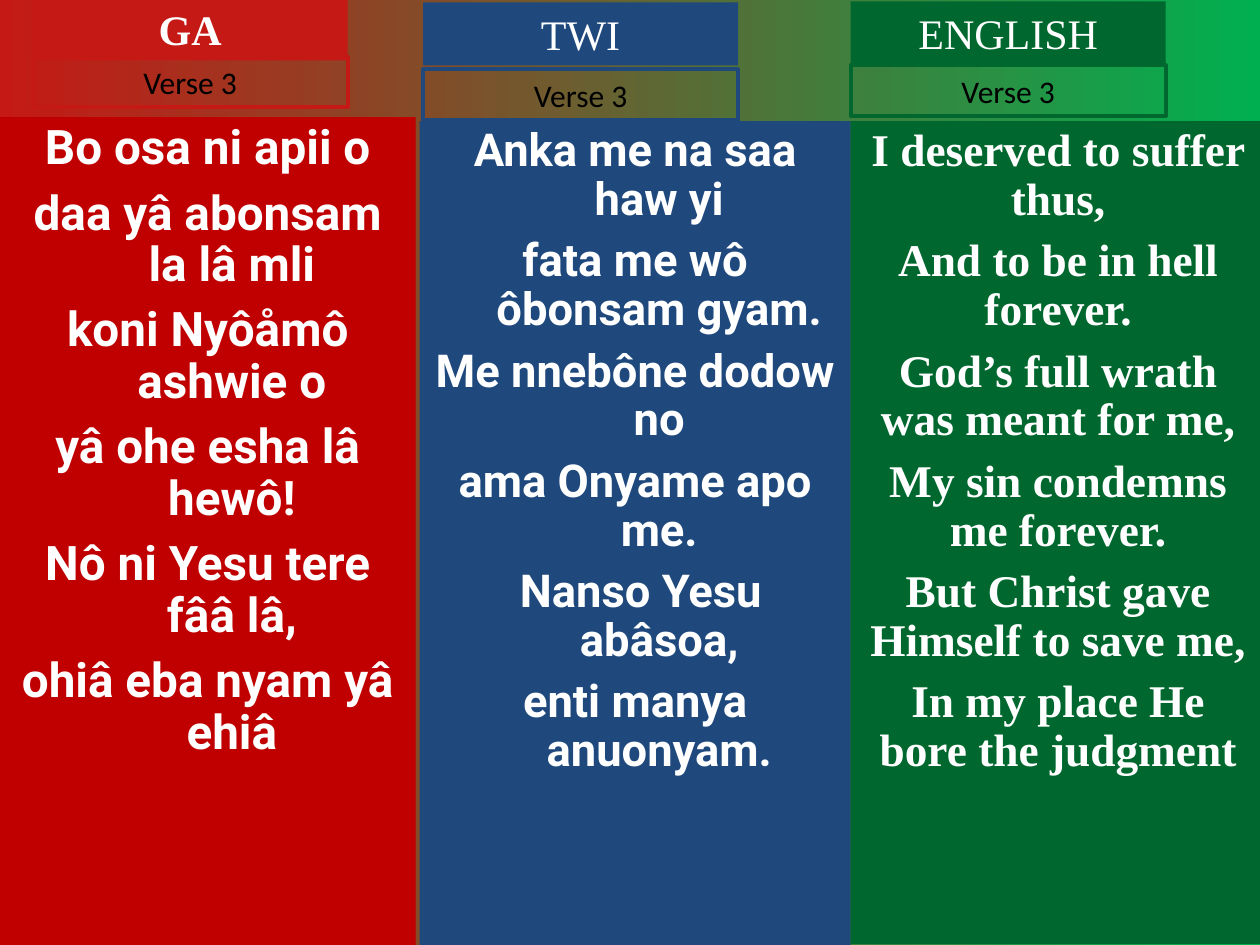
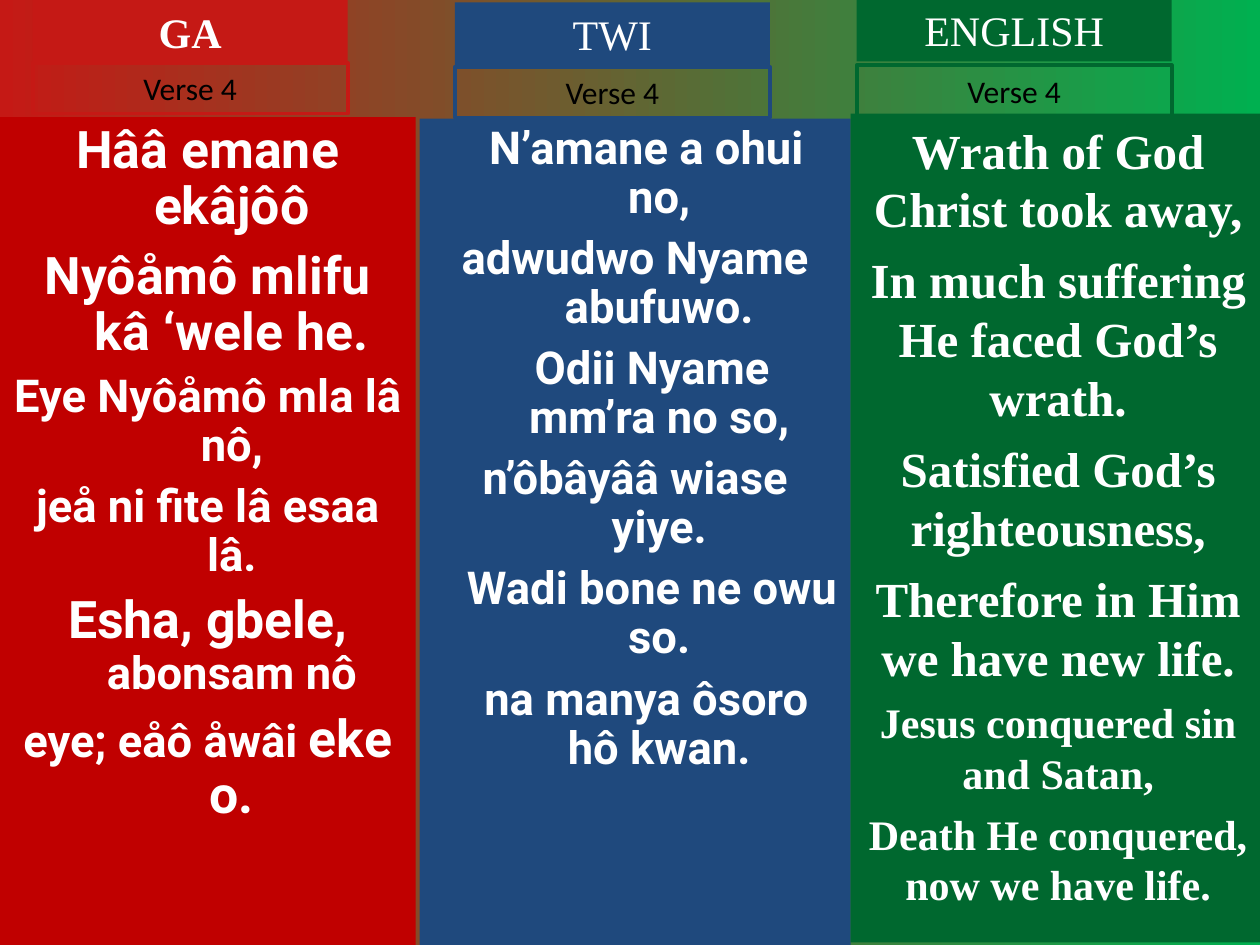
from dataclasses import dataclass
from typing import Any

from lxml.etree import SubElement
from pptx import Presentation
from pptx.dml.color import RGBColor
from pptx.enum.shapes import MSO_SHAPE as Preset
from pptx.enum.text import MSO_ANCHOR as Anchor, MSO_AUTO_SIZE as AutoSize, PP_ALIGN as Align
from pptx.oxml.ns import qn
from pptx.util import Cm, Pt

RED, GREEN = "C51915", "00B050"
WHITE, BLACK = "FFFFFF", "000000"
SERIF, SANS, LABEL_FONT = "Times New Roman", "Roboto", "Calibri"
HEADING_WIDTH, HEADING_HEIGHT, LABEL_HEIGHT = 6.35, 1.27, 1.02
HANGING = 0.97
COMPARISON_LAYOUT = 4
UNUSED_PLACEHOLDER = 3


@dataclass(frozen=True)
class Language:
    name: str
    placeholder: int
    heading_fill: str
    lyrics_fill: str
    font: str
    left: float
    width: float
    hanging: float = 0
    bold_heading: bool = False


@dataclass(frozen=True)
class Line:
    runs: tuple[tuple[str, float], ...]
    before: float
    shift: float = 0


@dataclass(frozen=True)
class Column:
    language: Language
    top: float
    height: float
    heading_left: float
    heading_top: float
    label_top: float
    lines: list[Line]
    spacing: float = 0.9


@dataclass(frozen=True)
class Verse:
    label: str
    columns: list[Column]


GA = Language("GA", 1, RED, "C00000", SANS, 0, 8.38, HANGING, True)
TWI = Language("TWI", 2, "1F497D", "1F497D", SANS, 8.46, 8.69, HANGING)
ENGLISH = Language("ENGLISH", 4, "00682F", "00682F", SERIF, 17.15, 8.36)


def line(text: str, size: float = 25.9, before: float = 7, shift: float = 0) -> Line:
    return Line(((text, size),), before, shift)


VERSES = [
    Verse("Verse 3", [
        Column(GA, 2.36, 16.69, 0.66, -0.05, 1.14, [line(text, 27.2, 8) for text in (
            "Bo osa ni apii o",
            "daa yâ abonsam la lâ mli",
            "koni Nyôåmô ashwie o",
            "yâ ohe esha lâ hewô!",
            "Nô ni Yesu tere fââ lâ,",
            "ohiâ eba nyam yâ ehiâ",
        )]),
        Column(TWI, 2.44, 16.61, 8.53, 0.05, 1.4, [
            line("Anka me na saa haw yi"),
            line("fata me wô ôbonsam gyam."),
            line("Me nnebône dodow no"),
            line("ama Onyame apo me."),
            line("Nanso Yesu abâsoa,", shift=0.23),
            line("enti manya anuonyam."),
        ]),
        Column(ENGLISH, 2.44, 16.59, 17.15, 0.03, 1.32, [line(text) for text in (
            "I deserved to suffer thus,",
            "And to be in hell forever.",
            "God’s full wrath was meant for me,",
            "My sin condemns me forever.",
            "But Christ gave Himself to save me,",
            "In my place He bore the judgment",
        )]),
    ]),
    Verse("Verse 4", [
        Column(GA, 2.36, 16.69, 0.66, 0, 1.27, [
            line("Hââ emane ekâjôô", 29.6, 8),
            line("Nyôåmô mlifu kâ ‘wele he.", 29.6, 8),
            line("Eye Nyôåmô mla lâ nô,"),
            line("jeå ni fite lâ esaa lâ."),
            Line((("Esha, gbele, ", 29.6), ("abonsam nô", 25.9)), 7),
            Line((("eye; eåô åwâi ", 25.9), ("eke o.", 29.6)), 8),
        ]),
        Column(TWI, 2.39, 16.66, 9.17, 0.05, 1.35, [
            line("N’amane a ohui no,", shift=0.45),
            line("adwudwo Nyame abufuwo."),
            line("Odii Nyame mm’ra no so,", shift=0.68),
            line("n’ôbâyââ wiase yiye."),
            line("Wadi bone ne owu so.", shift=0.68),
            line("na manya ôsoro hô kwan.", shift=0.45),
        ]),
        Column(ENGLISH, 2.29, 16.71, 17.27, -0.03, 1.32, [
            line("Wrath of God Christ took away,", 28),
            line("In much suffering He faced God’s wrath.", 28),
            line("Satisfied God’s righteousness,", 28),
            line("Therefore in Him we have new life.", 28),
            line("Jesus conquered sin and Satan,", 24, 6),
            line("Death He conquered, now we have life.", 24, 6),
        ], spacing=1.0),
    ]),
]


def rgb(value: str) -> RGBColor:
    return RGBColor.from_string(value)


def apply(target: Any, values: dict[str, Any]) -> None:
    for attribute, value in values.items():
        setattr(target, attribute, value)


def place(shape: Any, left: float, top: float, width: float, height: float) -> None:
    apply(shape, {"left": Cm(left), "top": Cm(top), "width": Cm(width), "height": Cm(height)})


def paint(shape: Any, fill: str | None, outline: str | None = None) -> None:
    shape.shadow.inherit = False
    if fill:
        shape.fill.solid()
        shape.fill.fore_color.rgb = rgb(fill)
    else:
        shape.fill.background()
    if outline:
        shape.line.color.rgb = rgb(outline)
        shape.line.width = Pt(2.25)
    else:
        shape.line.fill.background()


def set_frame(shape: Any, anchor: Anchor) -> None:
    apply(shape.text_frame, {
        "word_wrap": True, "auto_size": AutoSize.NONE, "vertical_anchor": anchor,
        "margin_left": Cm(0.25), "margin_right": Cm(0.25),
        "margin_top": Cm(0.13), "margin_bottom": Cm(0.13),
    })


def add_run(paragraph: Any, text: str, font: str, size: float, color: str, bold: bool) -> None:
    run = paragraph.add_run()
    run.text = text
    apply(run.font, {"name": font, "size": Pt(size), "bold": bold})
    run.font.color.rgb = rgb(color)


def write_caption(shape: Any, text: str, font: str, size: float, color: str, bold: bool) -> None:
    set_frame(shape, Anchor.MIDDLE)
    paragraph = shape.text_frame.paragraphs[0]
    apply(paragraph, {"alignment": Align.CENTER, "space_before": Pt(0)})
    add_run(paragraph, text, font, size, color, bold)


def draw_heading(slide: Any, column: Column, label: str) -> None:
    language = column.language
    rectangle = slide.shapes.add_shape
    heading = slide.shapes.title if language is GA else rectangle(Preset.RECTANGLE, 0, 0, 0, 0)
    place(heading, column.heading_left, column.heading_top, HEADING_WIDTH, HEADING_HEIGHT)
    paint(heading, language.heading_fill)
    write_caption(heading, language.name, SERIF, 24, WHITE, language.bold_heading)

    verse_label = rectangle(Preset.RECTANGLE, 0, 0, 0, 0)
    place(verse_label, column.heading_left, column.label_top, HEADING_WIDTH, LABEL_HEIGHT)
    paint(verse_label, None, language.heading_fill)
    write_caption(verse_label, label, LABEL_FONT, 18, BLACK, False)


def draw_lyrics(slide: Any, column: Column) -> None:
    language = column.language
    lyrics = slide.placeholders[language.placeholder]
    place(lyrics, language.left, column.top, language.width, column.height)
    paint(lyrics, language.lyrics_fill)
    set_frame(lyrics, Anchor.TOP)
    frame = lyrics.text_frame
    for index, lyric in enumerate(column.lines):
        paragraph = frame.add_paragraph() if index else frame.paragraphs[0]
        properties = paragraph._p.get_or_add_pPr()
        properties.set("marL", str(Cm(language.hanging)))
        properties.set("indent", str(Cm(lyric.shift - language.hanging)))
        SubElement(properties, qn("a:buNone"))
        apply(paragraph, {
            "alignment": Align.CENTER, "line_spacing": column.spacing,
            "space_before": Pt(lyric.before if index else 0), "space_after": Pt(0),
        })
        for text, size in lyric.runs:
            add_run(paragraph, text, language.font, size, WHITE, True)


def paint_background(slide: Any) -> None:
    fill = slide.background.fill
    fill.gradient()
    fill.gradient_angle = 0
    for stop, color, position in zip(fill.gradient_stops, (RED, GREEN), (0, 1)):
        stop.color.rgb = rgb(color)
        stop.position = position


def main() -> None:
    deck = Presentation()
    apply(deck, {"slide_width": Cm(25.4), "slide_height": Cm(19.05)})
    for verse in VERSES:
        slide = deck.slides.add_slide(deck.slide_layouts[COMPARISON_LAYOUT])
        paint_background(slide)
        unused = slide.placeholders[UNUSED_PLACEHOLDER].element
        unused.getparent().remove(unused)
        for column in verse.columns:
            draw_lyrics(slide, column)
            draw_heading(slide, column, verse.label)
    deck.save("out.pptx")


if __name__ == "__main__":
    main()
